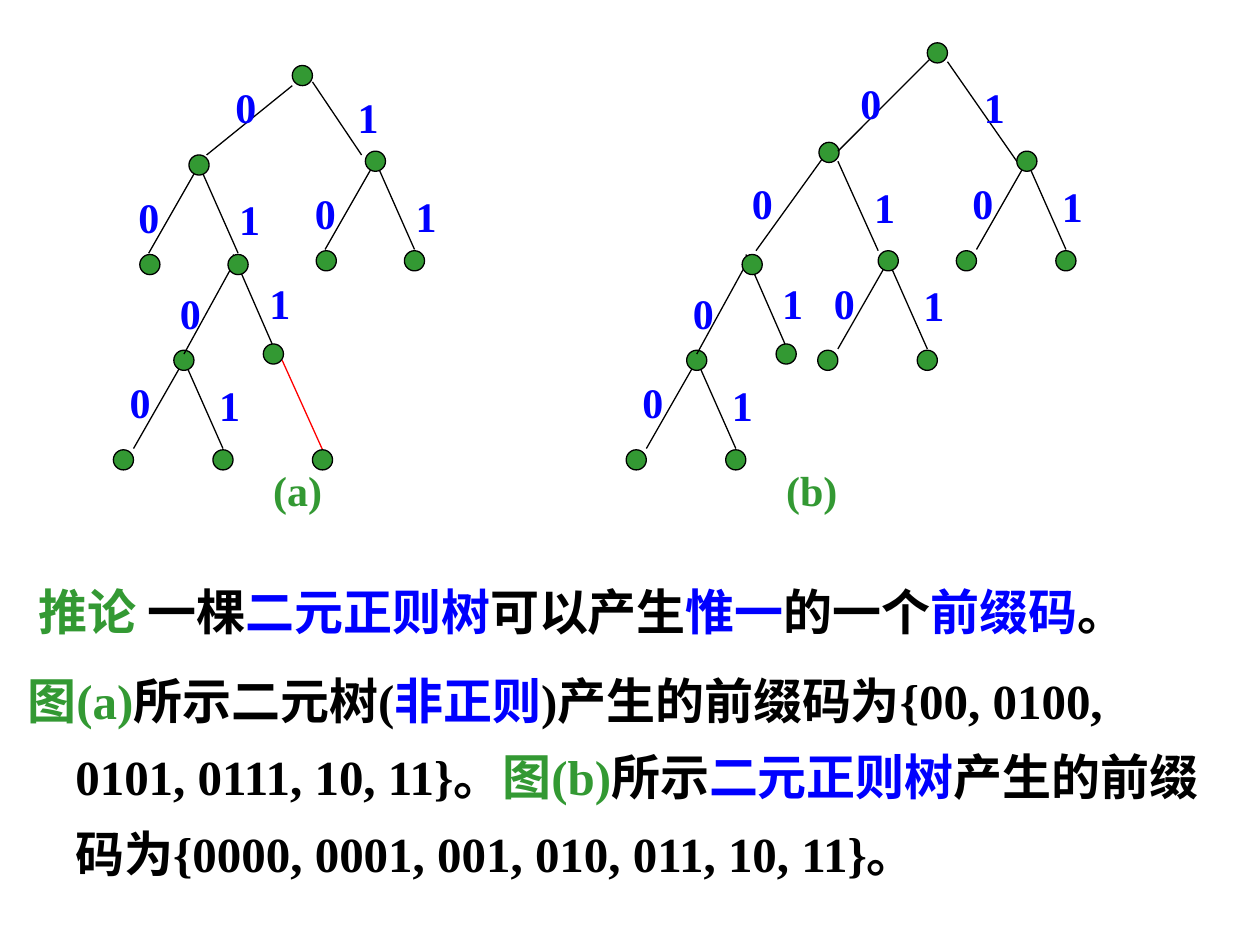
"""Build a slide comparing two binary trees and their prefix codes."""
import pptx
import pptx.dml.color
import pptx.enum.shapes
import pptx.enum.text
import pptx.oxml
import pptx.util
from pptx.util import Inches

GREEN = pptx.dml.color.RGBColor(0x33, 0x99, 0x33)
BLUE = pptx.dml.color.RGBColor(0x00, 0x00, 0xFF)
RED = pptx.dml.color.RGBColor(0xFF, 0x00, 0x00)
BLACK = pptx.dml.color.RGBColor(0x00, 0x00, 0x00)

NODE = 0.16
LEVEL = 0.79
WIDE = (0.48, (-0.45, 0.16), (0.26, 0.18))
NARROW = (0.39, (-0.5, 0.24), (0.3, 0.26))
TREE_SHIFT = 4.07

COROLLARY = [
    (" 推论", GREEN), (" 一棵", BLACK), ("二元正则树", BLUE), ("可以产生", BLACK),
    ("惟一", BLUE), ("的一个", BLACK), ("前缀码", BLUE), ("。", BLACK),
]
EXAMPLES = [
    ("图(a)", GREEN), ("所示二元树(", BLACK), ("非正则", BLUE),
    (")产生的前缀码为{00, 0100, 0101, 0111, 10, 11}。", BLACK),
    ("图(b)", GREEN), ("所示", BLACK), ("二元正则树", BLUE),
    ("产生的前缀码为{0000, 0001, 001, 010, 011, 10, 11}。", BLACK),
]


class TreeSlide:
    def __init__(self, page):
        self.page = page
        self.font_name = "Times New Roman"
        self.line_width = pptx.util.Pt(0.75)

    def style_font(self, font, size):
        font.name = self.font_name
        font.size = pptx.util.Pt(size)
        font.bold = True

    def edge(self, start, end, color=BLACK):
        line = self.page.shapes.add_connector(
            pptx.enum.shapes.MSO_CONNECTOR.STRAIGHT,
            *[Inches(value) for value in (*start, *end)])
        line.line.color.rgb = color
        line.line.width = self.line_width
        properties = line._element.spPr
        properties.append(properties.makeelement(pptx.oxml.ns.qn("a:effectLst"), {}))

    def node(self, left, top):
        circle = self.page.shapes.add_shape(
            pptx.enum.shapes.MSO_SHAPE.OVAL,
            Inches(left), Inches(top), Inches(NODE), Inches(NODE))
        circle.shadow.inherit = False
        circle.fill.solid()
        circle.fill.fore_color.rgb = GREEN
        circle.line.color.rgb = BLACK
        circle.line.width = self.line_width

    def label(self, text, left, top, width=0.36, color=BLUE):
        box = self.page.shapes.add_textbox(
            Inches(left), Inches(top), Inches(width), Inches(0.5))
        box.text_frame.word_wrap = False
        box.text_frame.auto_size = pptx.enum.text.MSO_AUTO_SIZE.SHAPE_TO_FIT_TEXT
        para = box.text_frame.paragraphs[0]
        para.text = text
        self.style_font(para.font, 24)
        para.font.color.rgb = color

    def fork(self, left, top, form):
        spread, zero, one = form
        center = (left + NODE / 2, top + NODE / 2)
        for reach in (-0.4, 0.31):
            self.edge(center, (center[0] + reach, center[1] + 0.7))
        for reach in (-spread, 0.31):
            self.node(left + reach, top + LEVEL)
        self.node(left, top)
        for text, (right, down) in (("0", zero), ("1", one)):
            self.label(text, left + right, top + down)

    def lower_branch(self, shift, caption, caption_width):
        self.fork(1.38 + shift, 2.78, WIDE)
        self.edge((1.85 + shift, 2.02), (2.16 + shift, 2.73))
        self.node(2.09 + shift, 2.73)
        self.edge((1.85 + shift, 2.1), (1.46 + shift, 2.81))
        self.label("0", 1.33 + shift, 2.23)
        self.label("1", 2.04 + shift, 2.15)
        self.label(caption, 2.07 + shift, 3.64, caption_width, GREEN)

    def statement(self, passages):
        box = self.page.shapes.add_textbox(
            Inches(0.12), Inches(4.38), Inches(9.67), Inches(2.91))
        frame = box.text_frame
        frame.word_wrap = True
        for index, (spans, spacing) in enumerate(passages):
            para = frame.add_paragraph() if index else frame.paragraphs[0]
            para.line_spacing = spacing
            if index:
                para.space_before = pptx.util.Pt(7)
            properties = para._p.get_or_add_pPr()
            properties.set("marL", str(Inches(0.38)))
            properties.set("indent", str(Inches(-0.38)))
            self.style_font(para.font, 28)
            for text, color in spans:
                span = para.add_run()
                span.text = text
                span.font.color.rgb = color


def main():
    deck = pptx.Presentation()
    deck.slide_width = Inches(10)
    deck.slide_height = Inches(7.5)
    slide = TreeSlide(deck.slides.add_slide(deck.slide_layouts[6]))

    slide.statement([(COROLLARY, 1.4), (EXAMPLES, 1.3)])

    slide.lower_branch(0, "(a)", 0.59)
    slide.fork(2.9, 1.2, NARROW)
    slide.edge((2.32, 0.68), (1.64, 1.23))
    slide.edge((2.48, 0.65), (2.87, 1.23))
    slide.label("0", 1.77, 0.6)
    slide.label("1", 2.74, 0.68)
    slide.node(2.32, 0.52)
    slide.edge((2.24, 2.86), (2.56, 3.57), RED)
    slide.node(2.48, 3.57)
    slide.fork(1.5, 1.23, NARROW)

    slide.lower_branch(TREE_SHIFT, "(b)", 0.61)
    slide.node(5.89, 2.02)
    slide.fork(6.97, 1.99, WIDE)
    slide.fork(8.07, 1.2, WIDE)
    slide.edge((6.57, 1.2), (6, 1.99))
    slide.edge((6.65, 1.28), (6.97, 1.99))
    slide.node(6.5, 1.13)
    slide.label("0", 5.87, 1.36)
    slide.label("1", 6.84, 1.39)
    slide.edge((7.44, 0.41), (6.65, 1.2))
    slide.edge((7.52, 0.49), (8.07, 1.28))
    slide.node(7.36, 0.34)
    slide.label("0", 6.73, 0.57)
    slide.label("1", 7.71, 0.6)

    deck.save("out.pptx")


if __name__ == "__main__":
    main()
